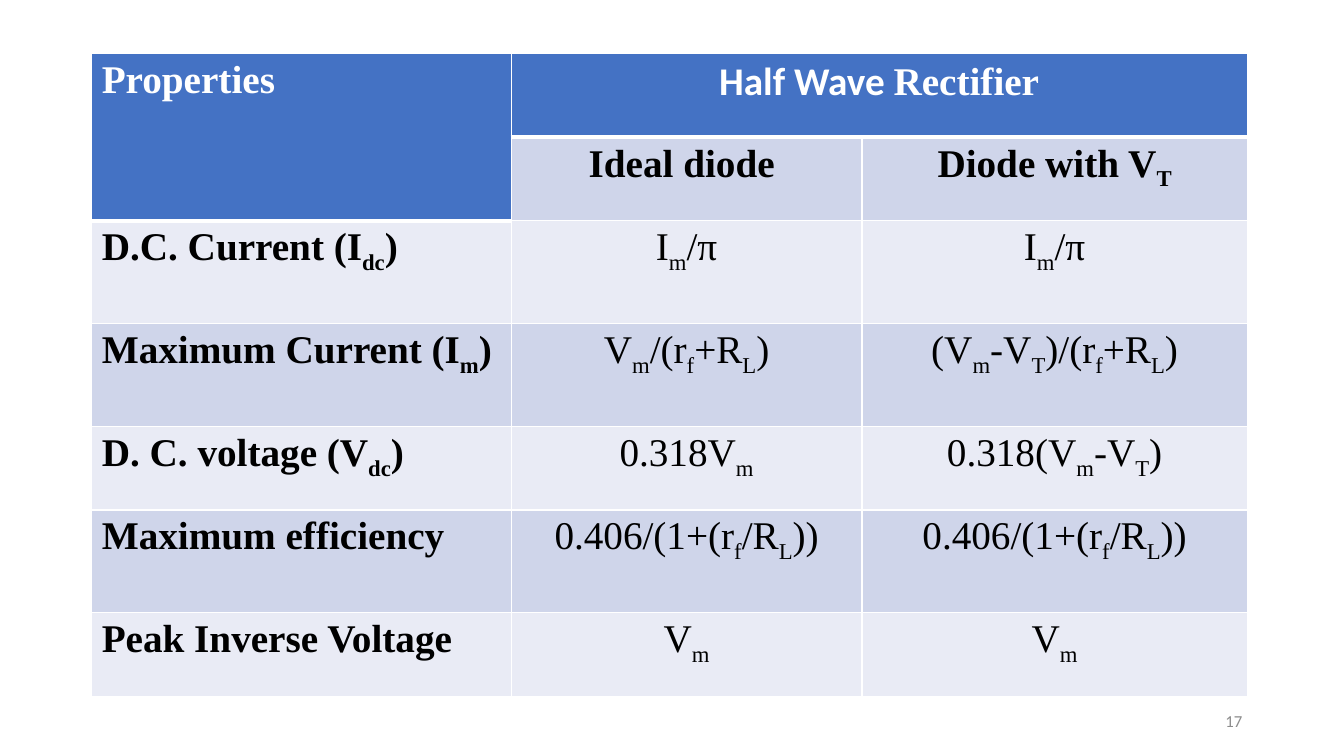
import pptx
import pptx.util
import pptx.dml.color
import pptx.enum.text
import pptx.oxml
import pptx.oxml.ns

Inches, Pt = pptx.util.Inches, pptx.util.Pt
RGB = pptx.dml.color.RGBColor.from_string
ALIGN = pptx.enum.text.PP_ALIGN
COLORS = {"header": "4472C4", "dark_band": "CFD5EA", "light_band": "E9EBF5",
          "white": "FFFFFF", "black": "000000", "number": "8C8C8C"}


def write(p, text, font="Times New Roman", size=28, color="black", bold=False, align=ALIGN.LEFT):
    """Append text to a paragraph; parts between tildes become subscripts."""
    p.alignment = align
    for i, part in enumerate(text.split("~")):
        if not part:
            continue
        r = p.add_run()
        r.text = part
        r.font.name, r.font.size, r.font.bold = font, Pt(size), bold
        r.font.color.rgb = RGB(COLORS[color])
        if i % 2:
            r._r.get_or_add_rPr().set("baseline", "-25000")


def style_cell(cell, fill, top=1, bottom=1):
    """Give a cell its white borders and its fill."""
    tcPr = cell._tc.get_or_add_tcPr()
    for side, width in (("L", 1), ("R", 1), ("T", top), ("B", bottom)):
        tcPr.append(pptx.oxml.parse_xml(
            f'<a:ln{side} {pptx.oxml.ns.nsdecls("a")} w="{Pt(width)}"><a:solidFill>'
            f'<a:srgbClr val="{COLORS["white"]}"/></a:solidFill></a:ln{side}>'))
    cell.fill.solid()
    cell.fill.fore_color.rgb = RGB(COLORS[fill])


prs = pptx.Presentation()
prs.slide_width, prs.slide_height = Inches(13.33), Inches(7.5)
s = prs.slides.add_slide(prs.slide_layouts[6])

# Table grid
rows = [
    ["Properties", "", ""],
    ["", "Ideal diode ", "Diode with V~T~"],
    ["D.C. Current (I~dc~)", "I~m~/π", "I~m~/π"],
    ["Maximum Current (I~m~)", "V~m~/(r~f~+R~L~)", "(V~m~-V~T~)/(r~f~+R~L~)"],
    ["D. C. voltage (V~dc~)", "0.318V~m~", "0.318(V~m~-V~T~)"],
    ["Maximum efficiency", "0.406/(1+(r~f~/R~L~))", "0.406/(1+(r~f~/R~L~))"],
    ["Peak Inverse Voltage", "V~m~", "V~m~"],
]
widths = [4.16, 3.48, 3.82]
heights = [0.83, 0.83, 1.02, 1.02, 0.83, 1.02, 0.83]
table = s.shapes.add_table(len(rows), len(widths), Inches(0.91), Inches(0.53),
                           Inches(sum(widths)), Inches(sum(heights))).table
for column, width in zip(table.columns, widths):
    column.width = Inches(width)
for row, height in zip(table.rows, heights):
    row.height = Inches(height)
table.cell(0, 0).merge(table.cell(1, 0))
table.cell(0, 1).merge(table.cell(0, 2))

# Cell text, fills and borders; a thick line closes the header
for i, texts in enumerate(rows):
    for j, text in enumerate(texts):
        cell = table.cell(i, j)
        header = i == 0 or (i == 1 and j == 0)
        last_header_row = 1 if j == 0 else 0
        fill = "header" if header else "dark_band" if i % 2 else "light_band"
        style_cell(cell, fill, top=3 if i == last_header_row + 1 else 1,
                   bottom=3 if header else 1)
        if text:
            write(cell.text_frame.paragraphs[0], text, bold=i < 2 or j == 0,
                  color="white" if header else "black",
                  align=ALIGN.CENTER if j else ALIGN.LEFT)

# Spanning header in two fonts
p = table.cell(0, 1).text_frame.paragraphs[0]
for text, font in (("Half Wave ", "Calibri"), ("Rectifier", "Times New Roman")):
    write(p, text, font=font, color="white", bold=True, align=ALIGN.CENTER)

# Slide number
tf = s.shapes.add_textbox(Inches(9.42), Inches(6.95), Inches(3), Inches(0.4)).text_frame
tf.word_wrap = True
tf.vertical_anchor = pptx.enum.text.MSO_ANCHOR.MIDDLE
write(tf.paragraphs[0], "17", font="Calibri", size=12, color="number", align=ALIGN.RIGHT)

prs.save("out.pptx")
